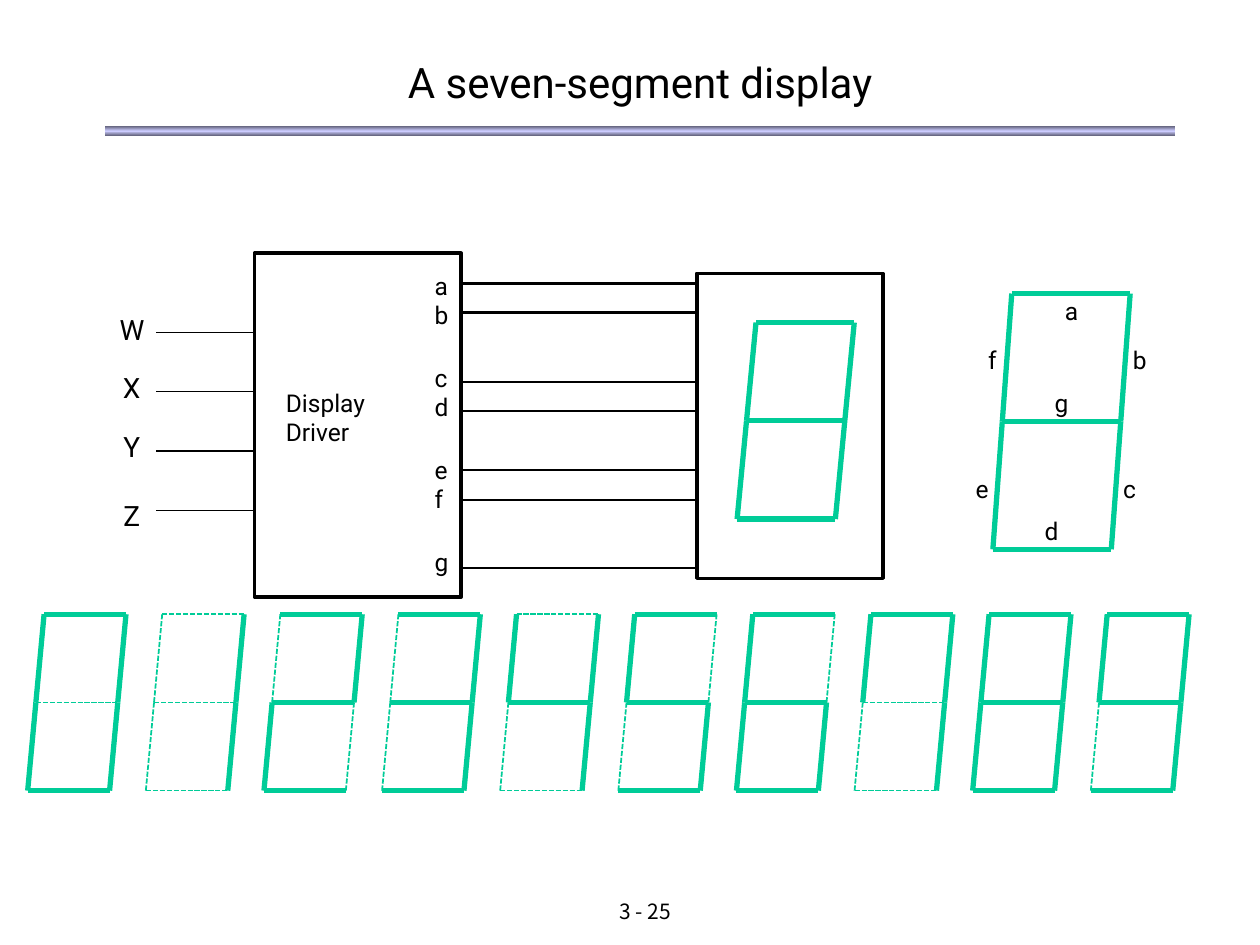
from copy import deepcopy

from pptx import Presentation
from pptx.dml.color import RGBColor
from pptx.enum.dml import MSO_LINE
from pptx.enum.shapes import MSO_CONNECTOR, MSO_SHAPE
from pptx.enum.text import MSO_ANCHOR, PP_ALIGN
from pptx.oxml.ns import qn
from pptx.util import Inches, Pt

HUES = {"ink": "000000", "seg": "00CC98", "edge": "5E5E76", "mid": "CCCCFF"}
INK = RGBColor.from_string(HUES["ink"])
SEG = RGBColor.from_string(HUES["seg"])

deck = Presentation()
deck.slide_width, deck.slide_height = Inches(10), Inches(7.5)
slide = deck.slides.add_slide(deck.slide_layouts[5])
shapes = slide.shapes


def write(box, lines, size, align=PP_ALIGN.CENTER, face="Roboto"):
    """Fill a box with (text, points before) lines."""
    frame = box.text_frame
    frame.word_wrap = True
    for i, (text, gap) in enumerate(lines):
        para = frame.paragraphs[0] if i == 0 else frame.add_paragraph()
        para.text = text
        for key, val in {"alignment": align, "space_before": Pt(gap)}.items():
            setattr(para, key, val)
        for key, val in {"name": face, "size": Pt(size), "bold": False}.items():
            setattr(para.font, key, val)
        para.font.color.rgb = INK


def draw(home, start, end, width, hue=INK, dash=None):
    """Add a straight line to a slide or a group."""
    ends = [Inches(v) for v in (*start, *end)]
    wire = home.add_connector(MSO_CONNECTOR.STRAIGHT, *ends)
    wire.line.color.rgb = hue
    wire.line.width = Pt(width)
    wire.line.dash_style = dash
    props = wire._element.spPr
    props.append(props.makeelement(qn("a:effectLst"), {}))


# Title and rule
title = shapes.title
place = {"left": 0.83, "top": 0.44, "width": 8.5, "height": 0.42}
for key, val in place.items():
    setattr(title, key, Inches(val))
frame = title.text_frame
for side in ("left", "right", "top", "bottom"):
    setattr(frame, f"margin_{side}", 0)
frame.vertical_anchor = MSO_ANCHOR.MIDDLE
write(title, [("A seven-segment display", 0)], 24)

rule = shapes.add_shape(MSO_SHAPE.RECTANGLE, Inches(0.83), Inches(1),
                        Inches(8.5), Inches(0.08))
rule.shadow.inherit = False
rule.line.fill.background()
rule.fill.gradient()
rule.fill.gradient_angle = 90
stops = rule._element.spPr.find(qn("a:gradFill")).find(qn("a:gsLst"))
stops.insert(1, deepcopy(stops[0]))
for stop, spot, hue in zip(rule.fill.gradient_stops, (0, 0.5, 1),
                           ("edge", "mid", "edge")):
    stop.position = spot
    stop.color.rgb = RGBColor.from_string(HUES[hue])

# Driver and display frames
for area in ((2.02, 2.01, 1.64, 2.73), (5.53, 2.17, 1.48, 2.42)):
    box = shapes.add_shape(MSO_SHAPE.RECTANGLE, *[Inches(v) for v in area])
    box.shadow.inherit = False
    box.fill.background()
    box.line.color.rgb = INK
    box.line.width = Pt(2)

# Wires
for y in (2.25, 2.48, 3.03, 3.26, 3.73, 3.97, 4.51):
    draw(shapes, (3.66, y), (5.53, y), 1.25)
for i in range(4):
    y = 2.64 + 0.47 * i
    draw(shapes, (1.24, y), (2.02, y), 0.75)

# Text: lines, area, size, alignment, font
pins = [(name, 19 if name in "ceg" else 0) for name in "abcdefg"]
LEFT, MID = PP_ALIGN.LEFT, PP_ALIGN.CENTER
notes = [
    ([("Display Driver", 0)], (2.17, 3.03, 0.94, 0.57), 14, LEFT, "Roboto"),
    (pins, (3.35, 2.1, 0.31, 2.54), 14, LEFT, "Roboto"),
    ([("3 - 25", 0)], (4.08, 7.08, 2.08, 0.25), 12, MID, "Noto Sans CJK KR"),
]
for name, y in zip("WXYZ", (2.43, 2.89, 3.36, 3.91)):
    notes.append(([(name, 0)], (0.85, y, 0.39, 0.37), 16, MID, "Roboto"))
spots = {"a": (8.35, 2.3), "b": (8.89, 2.69), "c": (8.81, 3.71),
         "d": (8.19, 4.05), "e": (7.64, 3.71), "f": (7.72, 2.69),
         "g": (8.27, 3.03)}
for name, (x, y) in spots.items():
    notes.append(([(name, 0)], (x, y, 0.31, 0.34), 14, MID, "Roboto"))
for lines, area, size, align, face in notes:
    box = shapes.add_textbox(*[Inches(v) for v in area])
    write(box, lines, size, align, face)

# Digits: home, top left corner, width, half height, slant per half, lit parts
LIT = ("abcdef", "bc", "abdeg", "abcdg", "bcfg",
       "acdfg", "acdefg", "abcf", "abcdefg", "abcdfg")
digits = [(shapes, 6, 2.56, 0.78, 0.78, 0.075, "abcdefg"),
          (shapes, 8.03, 2.33, 0.94, 1.015, 0.075, "abcdefg")]
for i, lit in enumerate(LIT):
    group = shapes.add_group_shape()
    digits.append((group.shapes, 0.35 + 0.9375 * i, 4.875,
                   0.65, 0.7, 0.065, lit))

# Each part joins two (column, row) corners
PARTS = {"a": ((0, 0), (1, 0)), "g": ((0, 1), (1, 1)), "d": ((0, 2), (1, 2)),
         "f": ((0, 0), (0, 1)), "b": ((1, 0), (1, 1)),
         "e": ((0, 1), (0, 2)), "c": ((1, 1), (1, 2))}
for home, x, y, wide, half, slant, lit in digits:
    for name, ends in PARTS.items():
        start, end = [(x + wide * col - slant * row, y + half * row)
                      for col, row in ends]
        look = (3, SEG) if name in lit else (1, SEG, MSO_LINE.SQUARE_DOT)
        draw(home, start, end, *look)

deck.save("out.pptx")
